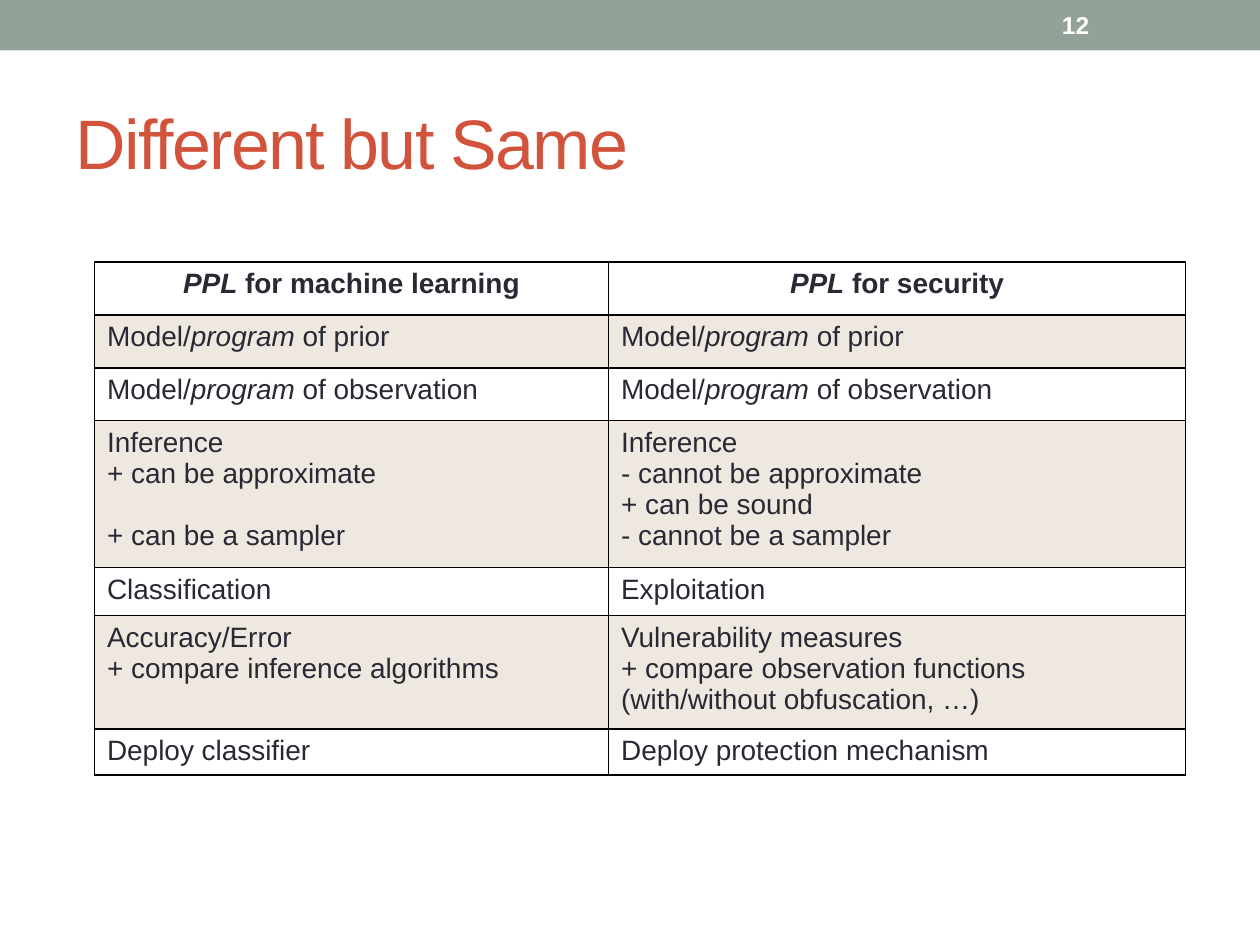
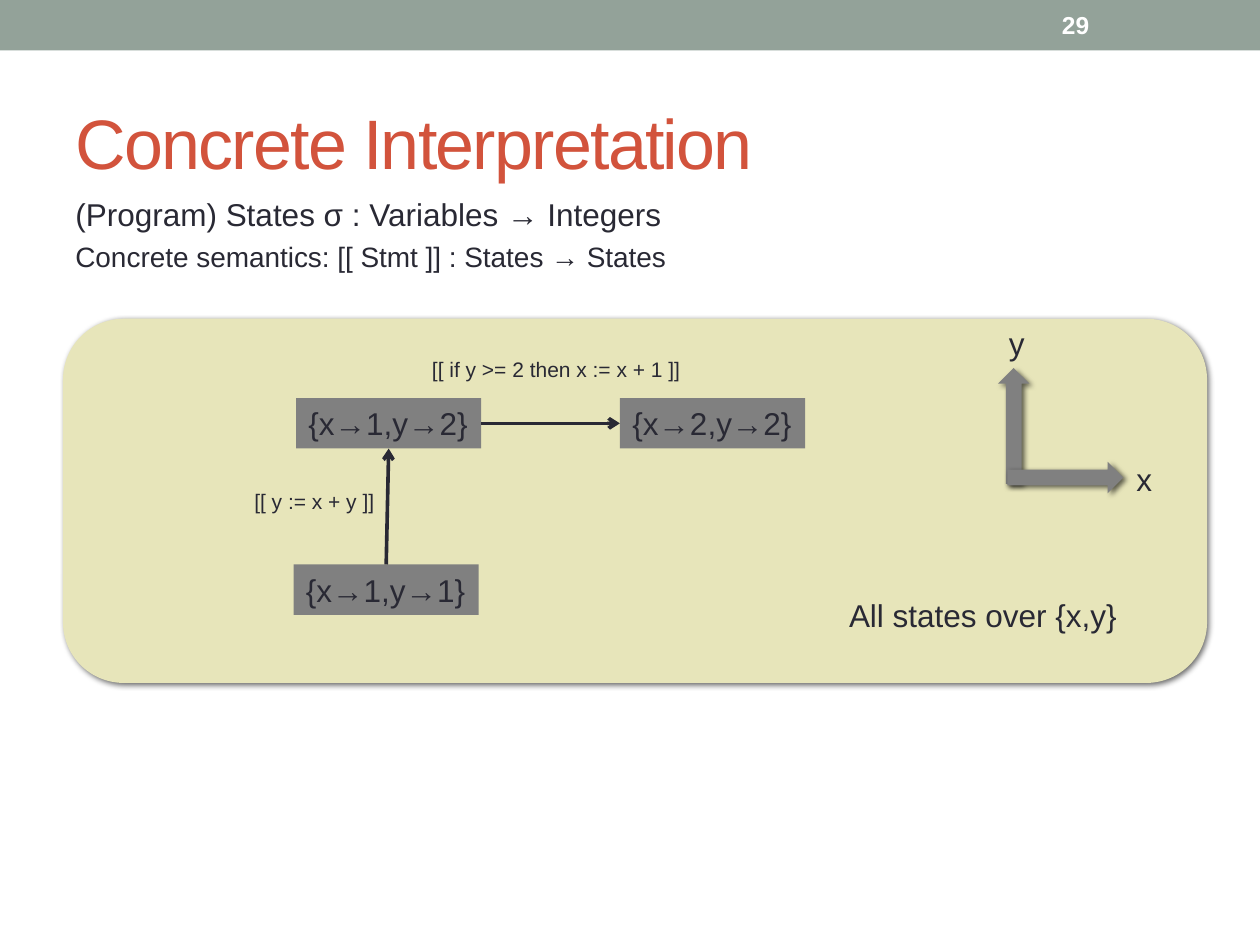
import pptx
import pptx.util
import pptx.dml.color
import pptx.enum.shapes
import pptx.enum.text
import pptx.oxml
import pptx.oxml.ns
import lxml.etree

Inches = pptx.util.Inches
Pt = pptx.util.Pt
SHAPE = pptx.enum.shapes.MSO_SHAPE
ALIGN = pptx.enum.text.PP_ALIGN
ANCHOR = pptx.enum.text.MSO_ANCHOR
AUTO_SIZE = pptx.enum.text.MSO_AUTO_SIZE
qn = pptx.oxml.ns.qn
NAMESPACE = pptx.oxml.ns.nsdecls("a")

BAND, TITLE, INK, WHITE = "93A299", "D2533C", "292934", "FFFFFF"
ROW_TINT, PANEL, GRAY = "AD8F67", "E7E5BA", "808080"


def color(hex_string):
    return pptx.dml.color.RGBColor.from_string(hex_string)


def write(paragraph, marked_text, size, hex_string=INK, bold=False):
    paragraph.alignment = ALIGN.LEFT
    for index, part in enumerate(marked_text.split("*")):
        if part:
            run = paragraph.add_run()
            run.text = part
            run.font.name = "Arial"
            run.font.size = Pt(size)
            run.font.bold = bold
            run.font.italic = index % 2 == 1
            run.font.color.rgb = color(hex_string)


presentation = pptx.Presentation()
presentation.slide_width = Inches(10)
presentation.slide_height = Inches(7.5)

for title_text, number in [("Different but Same", "12"), ("Concrete Interpretation", "29")]:
    slide = presentation.slides.add_slide(presentation.slide_layouts[5])
    band = slide.shapes.add_shape(SHAPE.RECTANGLE, 0, 0, Inches(10), Inches(0.4))
    band.shadow.inherit = False
    band.fill.solid()
    band.fill.fore_color.rgb = color(BAND)
    band.line.fill.background()

    title = slide.shapes.title
    title.left, title.top = Inches(0.5), Inches(0.58)
    title.width, title.height = Inches(9), Inches(1.08)
    title.text_frame.auto_size = AUTO_SIZE.NONE
    title.text_frame.vertical_anchor = ANCHOR.MIDDLE
    write(title.text_frame.paragraphs[0], title_text, 40, TITLE)
    title.text_frame.paragraphs[0].runs[0].font._element.set("spc", "-100")

    number_box = slide.shapes.add_textbox(Inches(8.33), Inches(0.02), Inches(1.17), Inches(0.36))
    number_box.text_frame.word_wrap = True
    number_box.text_frame.vertical_anchor = ANCHOR.MIDDLE
    write(number_box.text_frame.paragraphs[0], number, 14, WHITE, bold=True)

comparison_slide, states_slide = presentation.slides

comparison_rows = [
    (0.42, ["*PPL* for machine learning"], ["*PPL* for security"]),
    (0.42, ["Model/*program* of prior"], ["Model/*program* of prior"]),
    (0.42, ["Model/*program* of observation"], ["Model/*program* of observation"]),
    (0.69, ["Inference", "+ can be approximate", "+ can be a sampler"],
     ["Inference", "- cannot be approximate", "+ can be sound", "- cannot be a sampler"]),
    (0.38, ["Classification"], ["Exploitation"]),
    (0.54, ["Accuracy/Error", "+ compare inference algorithms"],
     ["Vulnerability measures",
      "+ compare observation functions (with/without obfuscation, …)"]),
    (0.36, ["Deploy classifier"], ["Deploy protection mechanism"]),
]
table = comparison_slide.shapes.add_table(
    len(comparison_rows), 2, Inches(0.75), Inches(2.08), Inches(8.66), Inches(3.23)).table
table.first_row = False
table.horz_banding = False
table.columns[0].width = Inches(4.08)
table.columns[1].width = Inches(4.58)
for row_index, (height, *row_texts) in enumerate(comparison_rows):
    table.rows[row_index].height = Inches(height)
    for column_index, lines in enumerate(row_texts):
        cell = table.cell(row_index, column_index)
        for line_index, line in enumerate(lines):
            frame = cell.text_frame
            paragraph = frame.add_paragraph() if line_index else frame.paragraphs[0]
            write(paragraph, line, 16, bold=row_index == 0)
            if row_index == 0:
                paragraph.alignment = ALIGN.CENTER
            if line == "+ can be a sampler":
                paragraph.space_before = Pt(18)
        cell_properties = cell._tc.get_or_add_tcPr()
        if row_index % 2:
            cell.fill.solid()
            cell.fill.fore_color.rgb = color(ROW_TINT)
            tint = cell_properties.find(".//" + qn("a:srgbClr"))
            lxml.etree.SubElement(tint, qn("a:alpha")).set("val", "20000")
        else:
            cell.fill.background()
        for side_index, side in enumerate(["lnL", "lnR", "lnT", "lnB"]):
            cell_properties.insert(side_index, pptx.oxml.parse_xml(
                f'<a:{side} {NAMESPACE} w="12700"><a:solidFill><a:srgbClr val="000000"/>'
                f'</a:solidFill></a:{side}>'))

shapes = states_slide.shapes
definitions = shapes.add_textbox(Inches(0.5), Inches(1.5), Inches(9), Inches(0.92)).text_frame
definitions.word_wrap = True
write(definitions.paragraphs[0], "(Program) States σ : Variables → Integers", 18)
write(definitions.add_paragraph(), "Concrete semantics: [[ Stmt ]] : States → States", 16)
for paragraph in definitions.paragraphs:
    paragraph.space_before = Pt(3.5)

for kind, left, top, width, height, rotation, fill in [
    (SHAPE.ROUNDED_RECTANGLE, 0.5, 2.53, 9.08, 2.89, 0, PANEL),
    (SHAPE.UP_ARROW, 7.92, 2.92, 0.25, 0.92, 0, GRAY),
    (SHAPE.UP_ARROW, 8.33, 3.33, 0.25, 0.92, 90, GRAY),
]:
    shape = shapes.add_shape(kind, Inches(left), Inches(top), Inches(width), Inches(height))
    shape.rotation = rotation
    shape.fill.solid()
    shape.fill.fore_color.rgb = color(fill)
    shape.line.fill.background()
    shape._element.spPr.append(pptx.oxml.parse_xml(
        f'<a:effectLst {NAMESPACE}><a:outerShdw blurRad="38100" dist="25400" dir="2700000">'
        '<a:srgbClr val="000000"><a:alpha val="60000"/></a:srgbClr></a:outerShdw></a:effectLst>'))

state_boxes = {}
for text, left, top, width, height, size in [
    ("{x→1,y→1}", 2.33, 4.48, 1.47, 0.4, 18),
    ("{x→1,y→2}", 2.35, 3.16, 1.47, 0.4, 18),
    ("{x→2,y→2}", 4.92, 3.16, 1.47, 0.4, 18),
    ("[[ y := x + y ]]", 1.92, 3.83, 1.17, 0.3, 12),
    ("[[ if y >= 2 then x := x + 1 ]]", 3.33, 2.78, 2.19, 0.3, 12),
    ("All states over {x,y}", 6.64, 4.68, 2.36, 0.4, 18),
    ("x", 8.92, 3.6, 0.33, 0.4, 18),
    ("y", 7.91, 2.52, 0.34, 0.4, 18),
]:
    place = Inches(left), Inches(top), Inches(width), Inches(height)
    if text.startswith("{"):
        shape = shapes.add_shape(SHAPE.RECTANGLE, *place)
        shape.shadow.inherit = False
        shape.fill.solid()
        shape.fill.fore_color.rgb = color(GRAY)
        shape.line.fill.background()
        state_boxes[text] = shape
    else:
        shape = shapes.add_textbox(*place)
    shape.text_frame.word_wrap = False
    shape.text_frame.auto_size = AUTO_SIZE.SHAPE_TO_FIT_TEXT
    shape.text_frame.vertical_anchor = ANCHOR.TOP
    write(shape.text_frame.paragraphs[0], text, size)

for source, source_side, target, target_side in [
    ("{x→1,y→1}", 0, "{x→1,y→2}", 2),
    ("{x→1,y→2}", 3, "{x→2,y→2}", 1),
]:
    connector = shapes.add_connector(pptx.enum.shapes.MSO_CONNECTOR.STRAIGHT, 0, 0, 0, 0)
    connector.begin_connect(state_boxes[source], source_side)
    connector.end_connect(state_boxes[target], target_side)
    connector.line.color.rgb = color(INK)
    connector.line.width = Pt(2.08)
    lxml.etree.SubElement(connector.line._get_or_add_ln(), qn("a:tailEnd")).set("type", "arrow")
    lxml.etree.SubElement(connector._element.spPr, qn("a:effectLst"))

presentation.save("out.pptx")
